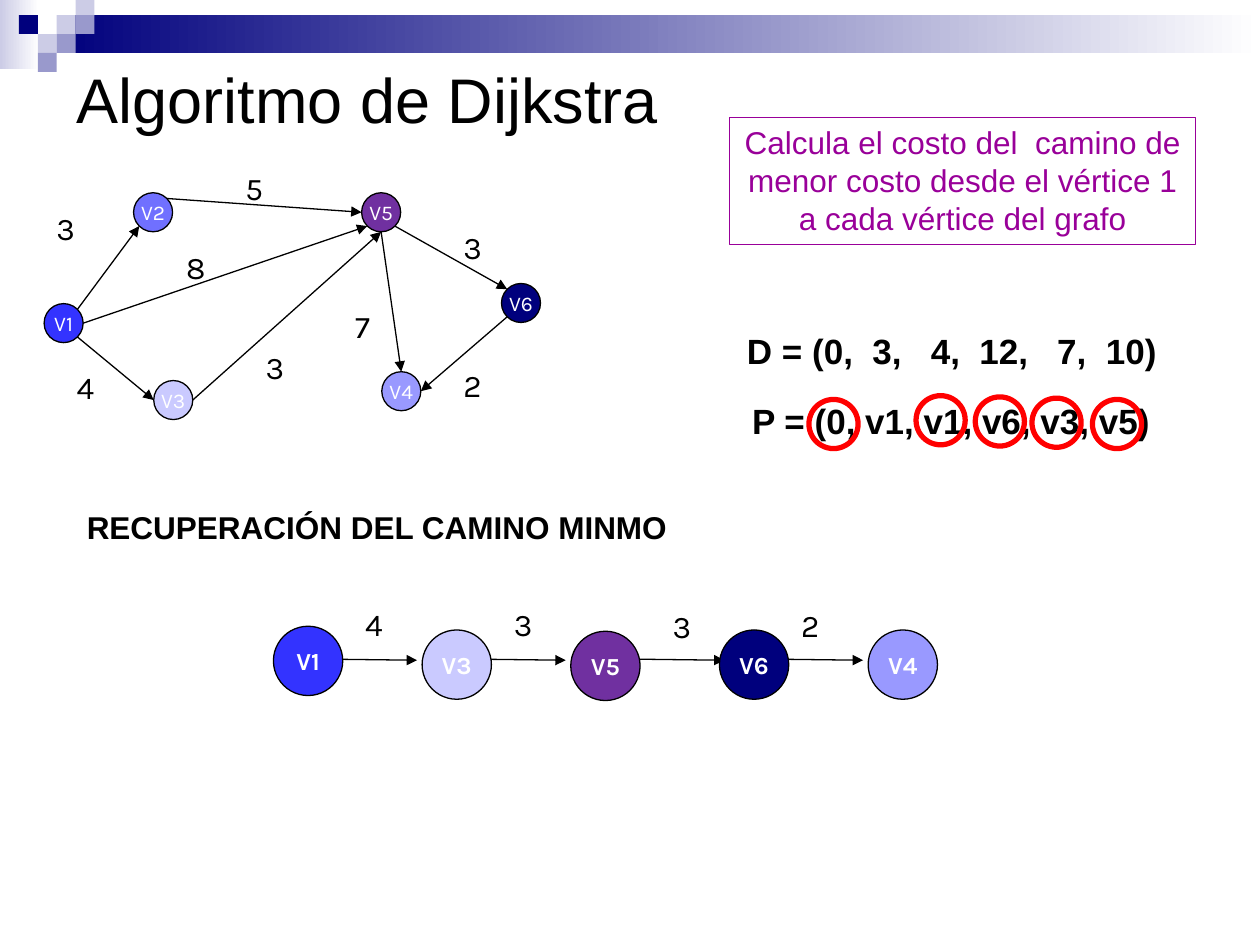
from dataclasses import dataclass
from math import sqrt

from lxml.etree import SubElement
from pptx import Presentation
from pptx.dml.color import RGBColor as Rgb
from pptx.enum.shapes import MSO_CONNECTOR as Conn, MSO_SHAPE as Form
from pptx.enum.text import MSO_ANCHOR as Anchor, MSO_AUTO_SIZE as Fit, PP_ALIGN as Align
from pptx.oxml.ns import qn
from pptx.util import Inches, Pt


@dataclass(frozen=True)
class Theme:
    sans: str = "Arial"
    round: str = "Karla"
    ink: str = "000000"
    paper: str = "FFFFFF"
    navy: str = "00007D"
    mist: str = "CCCCE6"
    slate: str = "9999CC"
    note: str = "990099"
    mark: str = "FF0000"
    title: int = 36
    list: int = 20
    body: int = 18
    big: int = 14
    small: int = 12
    thin: float = 0.75
    thick: float = 3


T = Theme()
HUES = {"V1": "3333FF", "V2": "7070FF", "V3": "CACAFF",
        "V4": "9999FF", "V5": "7030A0", "V6": T.navy}


def write(shape, text, size=T.body, font=T.sans, color=T.ink, bold=False,
          align=Align.LEFT, anchor=Anchor.TOP, wrap=True):
    """Put one formatted paragraph into a shape."""
    frame = shape.text_frame
    frame.auto_size = Fit.NONE
    frame.word_wrap = wrap
    frame.vertical_anchor = anchor
    para = frame.paragraphs[0]
    para.alignment = align
    run = para.add_run()
    run.text = text
    run.font.size = Pt(size)
    run.font.name = font
    run.font.bold = bold
    run.font.color.rgb = Rgb.from_string(color)


class Board:
    def __init__(self, slide, theme):
        self.slide = slide
        self.theme = theme

    def shape(self, form, box, fill=None, line=None, width=T.thin):
        item = self.slide.shapes.add_shape(form, *map(Inches, box))
        item.shadow.inherit = False
        if fill:
            item.fill.solid()
            item.fill.fore_color.rgb = Rgb.from_string(fill)
        else:
            item.fill.background()
        if line:
            item.line.color.rgb = Rgb.from_string(line)
            item.line.width = Pt(width)
        else:
            item.line.fill.background()
        return item

    def fade(self, box, color):
        fill = self.shape(Form.RECTANGLE, box).fill
        fill.gradient()
        fill.gradient_angle = 0
        for stop, hue in zip(fill.gradient_stops, (color, self.theme.paper)):
            stop.color.rgb = Rgb.from_string(hue)

    def title(self, text, box):
        item = self.slide.shapes.title
        item.left, item.top, item.width, item.height = map(Inches, box)
        write(item, text, size=self.theme.title, anchor=Anchor.MIDDLE)

    def text(self, text, box, **style):
        write(self.slide.shapes.add_textbox(*map(Inches, box)), text, **style)

    def cost(self, value, x, y):
        self.text(value, (x, y, 0.47, 0.4), font=self.theme.round)

    def node(self, name, x, y, side, size, bold=False):
        item = self.shape(Form.OVAL, (x, y, side, side), HUES[name], self.theme.ink)
        write(item, name, size=size, font=self.theme.round, color=self.theme.paper,
              bold=bold, align=Align.CENTER, anchor=Anchor.MIDDLE, wrap=False)

    def ring(self, x, y):
        self.shape(Form.OVAL, (x, y, 0.39, 0.39), None, self.theme.mark, self.theme.thick)

    def arrow(self, start, end):
        item = self.slide.shapes.add_connector(
            Conn.STRAIGHT, *map(Inches, (*start, *end)))
        item.line.color.rgb = Rgb.from_string(self.theme.ink)
        item.line.width = Pt(self.theme.thin)
        SubElement(item.line._get_or_add_ln(), qn("a:tailEnd"), type="triangle")
        SubElement(item._element.spPr, qn("a:effectLst"))


def rim(spot, side, way):
    """Point on a circle's edge in a compass direction."""
    dx = ("e" in way) - ("w" in way)
    dy = ("s" in way) - ("n" in way)
    reach = side / 2 / sqrt(dx * dx + dy * dy)
    return spot[0] + side / 2 + dx * reach, spot[1] + side / 2 + dy * reach


def main():
    deck = Presentation()
    deck.slide_width, deck.slide_height = Inches(10), Inches(7.5)
    board = Board(deck.slides.add_slide(deck.slide_layouts[5]), T)

    # Header band and its checkered corner
    board.fade((0, -0.03, 0.31, 0.58), T.mist)
    board.fade((0.45, 0.12, 9.55, 0.3), T.navy)
    cells = [(3, 1, T.mist), (4, 0, T.mist), (4, 1, T.slate), (2, 2, T.mist),
             (1, 1, T.navy), (3, 2, T.slate), (2, 3, T.slate)]
    for col, row, hue in cells:
        board.shape(Form.RECTANGLE, (col * 0.15, row * 0.15 - 0.03, 0.15, 0.15), hue)

    board.title("Algoritmo de Dijkstra", (0.51, 0.21, 9, 1.14))

    # Weighted graph
    side = 0.31
    spots = {"V2": (1.06, 1.53), "V5": (2.87, 1.53), "V1": (0.35, 2.41),
             "V3": (1.22, 3.02), "V4": (3.03, 2.95), "V6": (3.98, 2.25)}
    for name, spot in spots.items():
        board.node(name, *spot, side, T.small)
    # Each edge: from, exit side, to, entry side, cost, place of the cost
    edges = [("V1", "ne", "V2", "sw", "3", 0.35, 1.61),
             ("V1", "se", "V3", "w", "4", 0.51, 2.87),
             ("V1", "e", "V5", "sw", "8", 1.38, 1.92),
             ("V2", "ne", "V5", "w", "5", 1.85, 1.29),
             ("V3", "e", "V5", "s", "3", 2.01, 2.71),
             ("V5", "s", "V4", "n", "7", 2.72, 2.39),
             ("V5", "se", "V6", "nw", "3", 3.58, 1.76),
             ("V6", "sw", "V4", "e", "2", 3.58, 2.86)]
    for tail, out, head, into, value, x, y in edges:
        board.arrow(rim(spots[tail], side, out), rim(spots[head], side, into))
        board.cost(value, x, y)

    # Purpose note
    note = board.shape(Form.RECTANGLE, (5.79, 0.93, 3.7, 1.01), line=T.note)
    write(note, "Calcula el costo del  camino de menor costo desde el vértice 1 "
          "a cada vértice del grafo", color=T.note, align=Align.CENTER)

    # Distances and predecessors, with the used ones ringed
    rows = [("D = (0,  3,   4,  12,   7,  10)", (5.83, 2.57, 3.58, 0.43)),
            ("P = (0, v1, v1, v6, v3, v5)", (5.87, 3.12, 3.55, 0.43))]
    for text, box in rows:
        board.text(text, box, size=T.list, bold=True, anchor=Anchor.MIDDLE)
    for x, y in [(6.42, 3.17), (7.27, 3.14), (7.74, 3.15), (8.19, 3.16), (8.67, 3.17)]:
        board.ring(x, y)

    # Recovered shortest path
    board.text("RECUPERACIÓN DEL CAMINO MINMO", (0.59, 3.98, 4.81, 0.4),
               bold=True, wrap=False)
    steps = [("4", 2.48, 2.8, 4.75), ("3", 3.66, 3.98, 4.75),
             ("3", 4.92, 5.24, 4.77), ("2", 6.02, 6.26, 4.76)]
    for value, start, x, y in steps:
        board.arrow((start, 5.23), (start + 0.83, 5.24))
        board.cost(value, x, y)
    stops = [("V1", 4.97), ("V3", 5), ("V5", 5.01), ("V6", 5), ("V4", 5)]
    for i, (name, y) in enumerate(stops):
        board.node(name, 2.17 + i * 1.18, y, 0.55, T.big, bold=True)

    deck.save("out.pptx")


if __name__ == "__main__":
    main()
